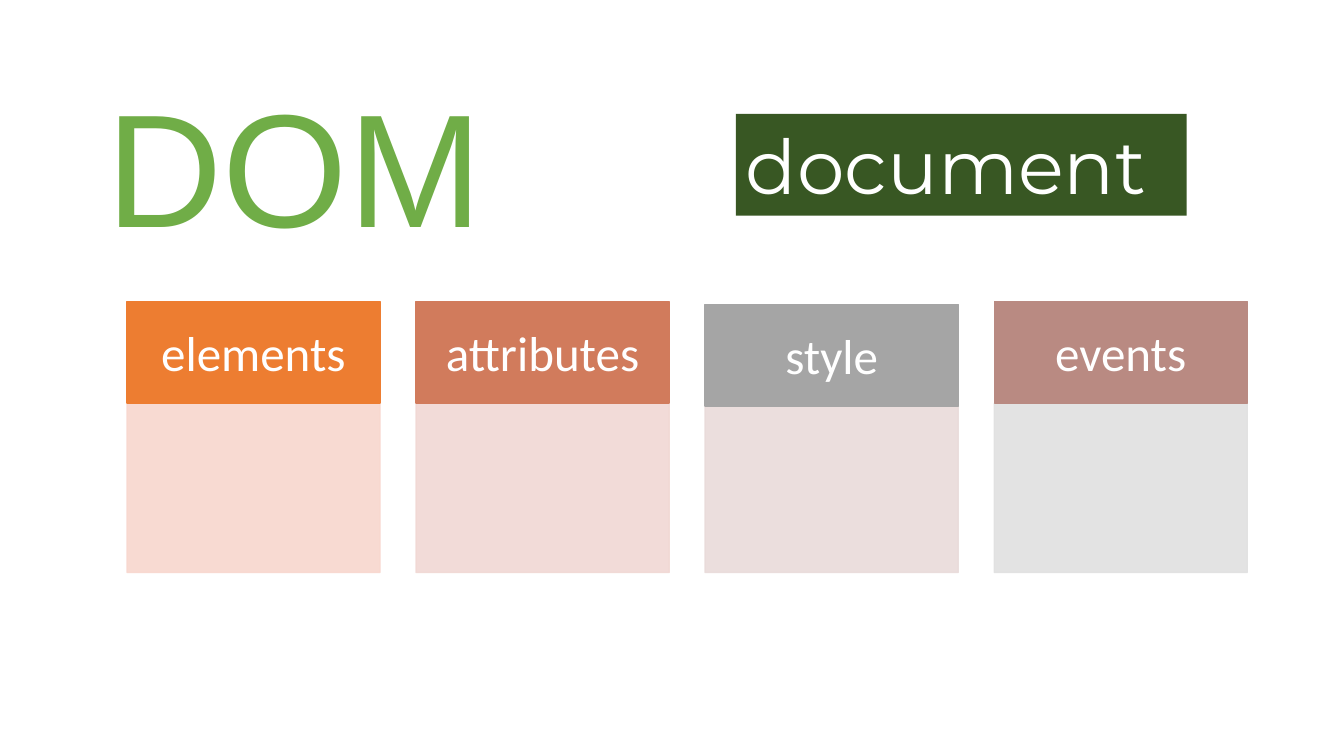
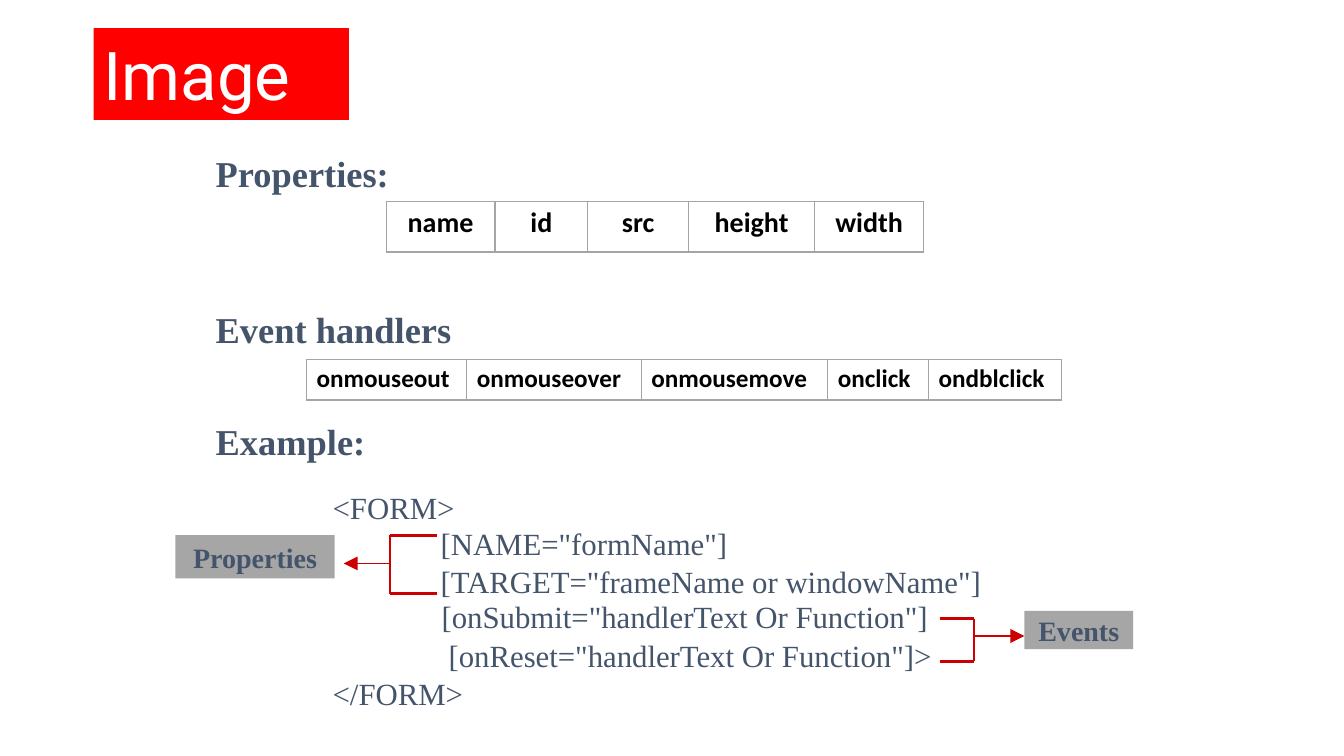
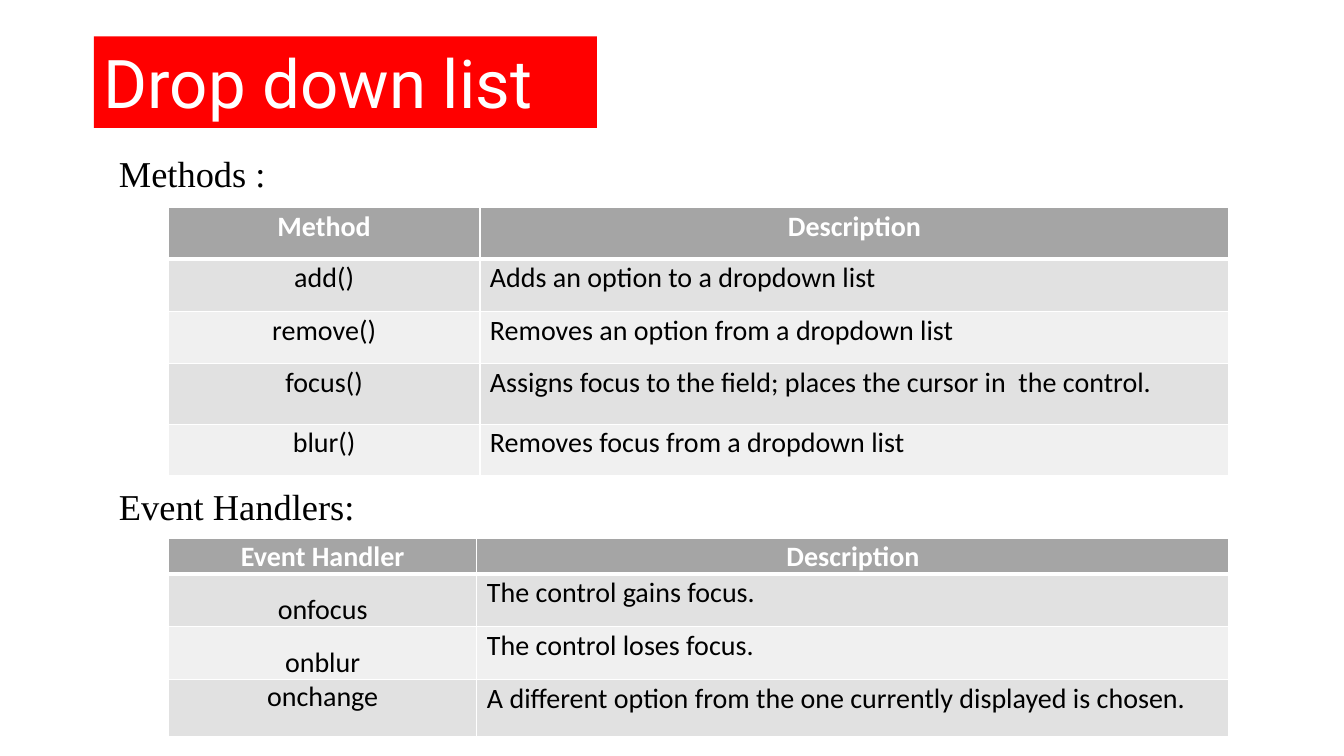
from pptx import Presentation
from pptx.dml import color as dml
from pptx.enum import shapes, text
from pptx.oxml import ns
from pptx.util import Inches, Pt
from lxml import etree

COLORS = {
    "white": "FFFFFF", "black": "000000", "slate": "44546A", "gray": "A5A5A5",
    "tag": "A6A6A6", "red": "FF0000", "bracket": "CC0000", "green": "70AD47",
    "forest": "385723", "band_dark": "E1E1E1", "band_light": "F0F0F0",
}
SERIF, SANS, TITLE = "Times New Roman", "Calibri", "Roboto"
CENTER, LEFT = text.PP_ALIGN.CENTER, text.PP_ALIGN.LEFT
TOP, MIDDLE = text.MSO_ANCHOR.TOP, text.MSO_ANCHOR.MIDDLE
NO_INSET = (0, 0.01, 0, 0)
BOX_INSET = (0.1, 0.05, 0.1, 0.05)

DOM_CARDS = [
    ("elements", 2.99, "ED7D31", "F8D7CE"),
    ("attributes", 2.99, "D17B5C", "F1D8D4"),
    ("style", 3.02, "A5A5A5", "E9DBDA"),
    ("events", 2.99, "B98A82", "E1E1E1"),
]
CARD_LEFT, CARD_STEP, CARD_WIDTH = 1.26, 2.867, 2.51
CARD_HEAD, CARD_BODY_TOP, CARD_BODY = 1.01, 4.0, 1.68

IMAGE_HEADINGS = [("Properties:", 1.49), ("Event handlers", 3.04), ("Example:", 4.15)]
IMAGE_PROPERTIES = ["name", "id", "src", "height", "width"]
IMAGE_EVENTS = ["onmouseout", "onmouseover", "onmousemove", "onclick", "ondblclick"]
FORM_CODE = [
    (3.29, 4.82, 1.24, [("<FORM>", 0.01)]),
    (4.36, 5.18, 5.42, [('[NAME="formName"]', 0.01),
                        ('[TARGET="frameName or windowName"]', 0.01)]),
    (3.29, 5.91, 5.96, [('[onSubmit="handlerText Or Function"]', 1.09),
                        ('[onReset="handlerText Or Function"]>', 1.16),
                        ("</FORM>", 0.01)]),
]
CODE_TAGS = [("Properties", 1.74, 5.31, 1.58, 0.43), ("Events", 10.16, 6.06, 1.08, 0.38)]
BRACKETS = [
    {"open": 4.33, "spine": 3.87, "tip": 3.41, "top": 5.31, "bottom": 5.89, "arrow": 5.59},
    {"open": 9.32, "spine": 9.66, "tip": 10.16, "top": 6.14, "bottom": 6.56, "arrow": 6.31},
]

LIST_METHODS = [
    ("Method", "Description"),
    ("add()", "Adds an option to a dropdown list"),
    ("remove()", "Removes an option from a dropdown list"),
    ("focus()", "Assigns focus to the field; places the cursor in  the control."),
    ("blur()", "Removes focus from a dropdown list"),
]
LIST_EVENTS = [
    ("Event Handler", "Description"),
    ("onfocus", "The control gains focus."),
    ("onblur", "The control loses focus."),
    ("onchange", "A different option from the one currently displayed is chosen."),
]
LIST_SECTIONS = [
    ("Methods :", 1.49, 2.06, LIST_METHODS, [3.09, 7.43],
     [0.51, 0.52, 0.52, 0.6, 0.51], {}),
    ("Event Handlers:", 4.79, 5.34, LIST_EVENTS, [3.06, 7.46],
     [0.33, 0.49, 0.49, 0.57], {"onfocus": 0.19, "onblur": 0.19, "onchange": 0}),
]


def rgb(name):
    return dml.RGBColor.from_string(COLORS.get(name, name))


def write(paragraph, words, size, font, color, bold=False, align=LEFT):
    paragraph.alignment = align
    run = paragraph.add_run()
    run.text = words
    run.font.size = Pt(size)
    run.font.name = font
    run.font.bold = bold
    run.font.color.rgb = rgb(color)


def set_frame(frame, inset, anchor=TOP):
    frame.word_wrap = True
    frame.vertical_anchor = anchor
    (frame.margin_left, frame.margin_top,
     frame.margin_right, frame.margin_bottom) = map(Inches, inset)


def add_block(slide, box, fill, alpha=None, outlined=False):
    block = slide.shapes.add_shape(shapes.MSO_SHAPE.RECTANGLE, *map(Inches, box))
    block.shadow.inherit = False
    block.fill.solid()
    block.fill.fore_color.rgb = rgb(fill)
    if outlined:
        block.line.color.rgb = rgb(fill)
        block.line.width = Pt(1)
    else:
        block.line.fill.background()
    if alpha:
        for tint in block._element.spPr.iter(ns.qn("a:srgbClr")):
            etree.SubElement(tint, ns.qn("a:alpha")).set("val", str(alpha * 1000))
    return block


def add_label(slide, box, fill, words, size, font, color="white", bold=False,
              align=LEFT, anchor=TOP, inset=BOX_INSET, outlined=False):
    frame = add_block(slide, box, fill, outlined=outlined).text_frame
    set_frame(frame, inset, anchor)
    write(frame.paragraphs[0], words, size, font, color, bold, align)


def add_title(slide, words, top, width):
    add_label(slide, (0.93, top, width, 0.91), "red", words, 48, TITLE)


def add_lines(slide, box, lines, size, color, bold=False, spacing=1.0):
    frame = slide.shapes.add_textbox(*map(Inches, box)).text_frame
    set_frame(frame, NO_INSET)
    for index, (words, indent) in enumerate(lines):
        paragraph = frame.add_paragraph() if index else frame.paragraphs[0]
        paragraph._p.get_or_add_pPr().set("marL", str(Inches(indent)))
        paragraph.line_spacing = spacing
        write(paragraph, words, size, SERIF, color, bold)


def add_heading(slide, words, left, top, color, bold=False):
    add_lines(slide, (left, top, 2.74, 0.46), [(words, 0.01)], 26, color, bold)


def set_borders(cell, color, top=1, bottom=1):
    props = cell._tc.get_or_add_tcPr()
    for side, width in (("L", 1), ("R", 1), ("T", top), ("B", bottom)):
        border = etree.SubElement(props, ns.qn("a:ln" + side), w=str(Pt(width)))
        fill = etree.SubElement(border, ns.qn("a:solidFill"))
        etree.SubElement(fill, ns.qn("a:srgbClr"), val=COLORS[color])


def add_grid(slide, left, top, widths, heights):
    frame = slide.shapes.add_table(len(heights), len(widths), Inches(left), Inches(top),
                                   Inches(sum(widths)), Inches(sum(heights)))
    grid = frame.table
    grid.first_row = grid.horz_banding = False
    for column, width in zip(grid.columns, widths):
        column.width = Inches(width)
    for row, height in zip(grid.rows, heights):
        row.height = Inches(height)
    return grid


def fill_cell(cell, words, size, color, bold, align, inset_top):
    (cell.margin_left, cell.margin_top, cell.margin_right, cell.margin_bottom) = (
        Inches(0.1 if align == LEFT else 0), Inches(inset_top), 0, 0)
    write(cell.text_frame.paragraphs[0], words, size, SANS, color, bold, align)


def add_name_row(slide, names, left, top, widths, height, size, align):
    grid = add_grid(slide, left, top, widths, [height])
    for column, name in enumerate(names):
        cell = grid.cell(0, column)
        set_borders(cell, "gray", bottom=2)
        cell.fill.background()
        fill_cell(cell, name, size, "black", True, align, 0.04)


def add_reference(slide, top, rows, widths, heights, insets):
    grid = add_grid(slide, 1.67, top, widths, heights)
    for r, row in enumerate(rows):
        header = r == 0
        band = "gray" if header else "band_dark" if r % 2 else "band_light"
        for c, words in enumerate(row):
            cell = grid.cell(r, c)
            set_borders(cell, "white", top=3 if r == 1 else 1, bottom=3 if header else 1)
            cell.fill.solid()
            cell.fill.fore_color.rgb = rgb(band)
            fill_cell(cell, words, 20, "white" if header else "black", header,
                      CENTER if header or c == 0 else LEFT, insets.get(words, 0.02))


def add_stroke(slide, start, end, width, arrow=False):
    stroke = slide.shapes.add_connector(shapes.MSO_CONNECTOR.STRAIGHT,
                                        *map(Inches, start + end))
    stroke.line.color.rgb = rgb("bracket")
    stroke.line.width = Pt(width)
    if arrow:
        etree.SubElement(stroke.line._get_or_add_ln(), ns.qn("a:tailEnd"),
                         type="triangle", w="lg", len="lg")
    etree.SubElement(stroke._element.spPr, ns.qn("a:effectLst"))


def add_bracket(slide, b):
    for y in (b["top"], b["bottom"]):
        add_stroke(slide, (b["open"], y), (b["spine"], y), 2.25)
    add_stroke(slide, (b["spine"], b["top"]), (b["spine"], b["bottom"]), 1)
    add_stroke(slide, (b["spine"], b["arrow"]), (b["tip"], b["arrow"]), 1, arrow=True)


def build_dom(slide):
    add_label(slide, (0.96, 0.61, 4.04, 2.04), "white", "DOM", 115, "Arial", "green")
    add_label(slide, (7.3, 1.13, 4.47, 1.01), "forest", "document", 54, "Montserrat")
    for index, (name, top, head, body) in enumerate(DOM_CARDS):
        left = CARD_LEFT + index * CARD_STEP
        add_block(slide, (left, CARD_BODY_TOP, CARD_WIDTH, CARD_BODY), body, 90, True)
        add_label(slide, (left, top, CARD_WIDTH, CARD_HEAD), head, name, 35, SANS,
                  align=CENTER, anchor=MIDDLE, inset=(0.27, 0.16, 0.27, 0.16),
                  outlined=True)


def build_image(slide):
    for words, top in IMAGE_HEADINGS:
        add_heading(slide, words, 2.13, top, "slate", True)
    add_name_row(slide, IMAGE_PROPERTIES, 3.83, 2.0, [1.08, 0.92, 1, 1.25, 1.08],
                 0.5, 20, CENTER)
    add_name_row(slide, IMAGE_EVENTS, 3.04, 3.57, [1.59, 1.73, 1.85, 1, 1.32],
                 0.4, 18, LEFT)
    add_title(slide, "Image", 0.28, 2.53)
    for left, top, width, lines in FORM_CODE:
        add_lines(slide, (left, top, width, 0.38 * len(lines)), lines, 22, "slate",
                  spacing=1.04)
    for bracket in BRACKETS:
        add_bracket(slide, bracket)
    for words, *box in CODE_TAGS:
        add_label(slide, box, "tag", words, 20, SERIF, "slate", True, CENTER, MIDDLE,
                  NO_INSET)


def build_dropdown(slide):
    for heading, heading_top, top, rows, widths, heights, insets in LIST_SECTIONS:
        add_heading(slide, heading, 1.17, heading_top, "black")
        add_reference(slide, top, rows, widths, heights, insets)
    add_title(slide, "Drop down list", 0.36, 4.99)


def main():
    deck = Presentation()
    deck.slide_width, deck.slide_height = Inches(13.33), Inches(7.5)
    for build in (build_dom, build_image, build_dropdown):
        build(deck.slides.add_slide(deck.slide_layouts[6]))
    deck.save("out.pptx")


if __name__ == "__main__":
    main()
